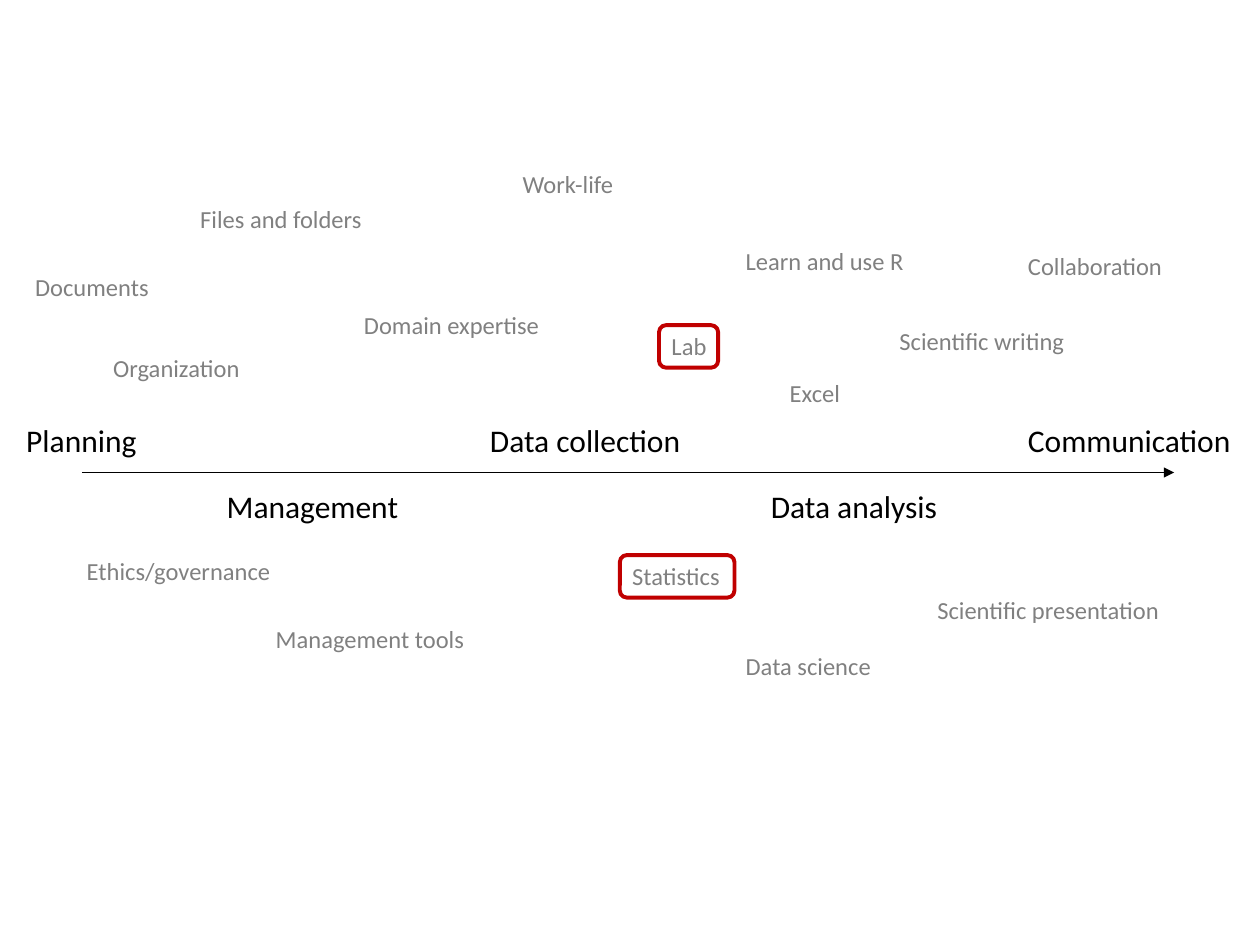
import pptx
import pptx.util
import pptx.dml.color
import pptx.enum.shapes
import pptx.enum.text
import pptx.oxml

Pt = pptx.util.Pt

ABOVE, BELOW = 236.9, 275
STAGES = [
    ("Planning", 7.9, ABOVE, 78.5),
    ("Management", 122.4, BELOW, 113.8),
    ("Data collection", 272.9, ABOVE, 124.6),
    ("Data analysis", 433.4, BELOW, 110.9),
    ("Communication", 580.3, ABOVE, 131.8),
]
SKILLS = [
    ("Organization", 57.6, 198, 89.3),
    ("Ethics/governance", 42.5, 313.9, 120.2),
    ("Data science", 419, 368.6, 87.1),
    ("Scientific writing", 506.9, 182.9, 116.6),
    ("Scientific presentation", 528.5, 336.2, 142.6),
    ("Domain expertise", 200.9, 173.5, 121),
    ("Collaboration", 580.3, 139.7, 100.1),
    ("Work-life", 291.6, 92.9, 67),
    ("Lab", 376.6, 185.8, 34.6),
    ("Statistics", 354.2, 317.2, 87.1),
    ("Learn and use R", 419, 136.8, 109.4),
    ("Documents", 13, 151.9, 89.3),
    ("Files and folders", 107.3, 113, 111.6),
    ("Management tools", 150.5, 352.8, 122.4),
    ("Excel", 444.2, 212.4, 44.6),
]
HIGHLIGHT_WIDTHS = {"Lab": 33.8, "Statistics": 65.5}
TIMELINE = (46.8, 671, 270)
STAGE_HEIGHT, SKILL_HEIGHT = 29, 24.3


def color(value):
    return pptx.dml.color.RGBColor.from_string(value)


def add_label(page, text, left, top, width, height, size, ink, wrap):
    box = page.shapes.add_textbox(Pt(left), Pt(top), Pt(width), Pt(height))
    frame = box.text_frame
    frame.word_wrap = wrap
    frame.auto_size = pptx.enum.text.MSO_AUTO_SIZE.SHAPE_TO_FIT_TEXT
    span = frame.paragraphs[0].add_run()
    span.text = text
    span.font.name = "Calibri"
    span.font.size = Pt(size)
    span.font.color.rgb = color(ink)


def add_highlight(page, left, top, width):
    frame = page.shapes.add_shape(
        pptx.enum.shapes.MSO_SHAPE.ROUNDED_RECTANGLE,
        Pt(left), Pt(top), Pt(width), Pt(SKILL_HEIGHT))
    frame.shadow.inherit = False
    frame.fill.background()
    frame.line.color.rgb = color("C00000")
    frame.line.width = Pt(2.25)


def add_timeline(page):
    start, end, height = TIMELINE
    arrow = page.shapes.add_connector(
        pptx.enum.shapes.MSO_CONNECTOR.STRAIGHT,
        Pt(start), Pt(height), Pt(end), Pt(height))
    arrow.line.color.rgb = color("000000")
    arrow.line.width = Pt(0.5)
    namespace = pptx.oxml.ns.nsdecls("a")
    arrow.line._get_or_add_ln().append(
        pptx.oxml.parse_xml(f'<a:tailEnd {namespace} type="triangle"/>'))
    arrow._element.spPr.append(
        pptx.oxml.parse_xml(f"<a:effectLst {namespace}/>"))


def main():
    deck = pptx.Presentation()
    deck.slide_width, deck.slide_height = Pt(720), Pt(540)
    page = deck.slides.add_slide(deck.slide_layouts[6])
    add_timeline(page)
    for text, left, top, width in STAGES:
        add_label(page, text, left, top, width, STAGE_HEIGHT, 18, "000000", False)
    for text, left, top, width in SKILLS:
        wrap = text not in ("Work-life", "Lab")
        add_label(page, text, left, top, width, SKILL_HEIGHT, 14, "808080", wrap)
        if text in HIGHLIGHT_WIDTHS:
            add_highlight(page, left, top, HIGHLIGHT_WIDTHS[text])
    deck.save("out.pptx")


if __name__ == "__main__":
    main()
